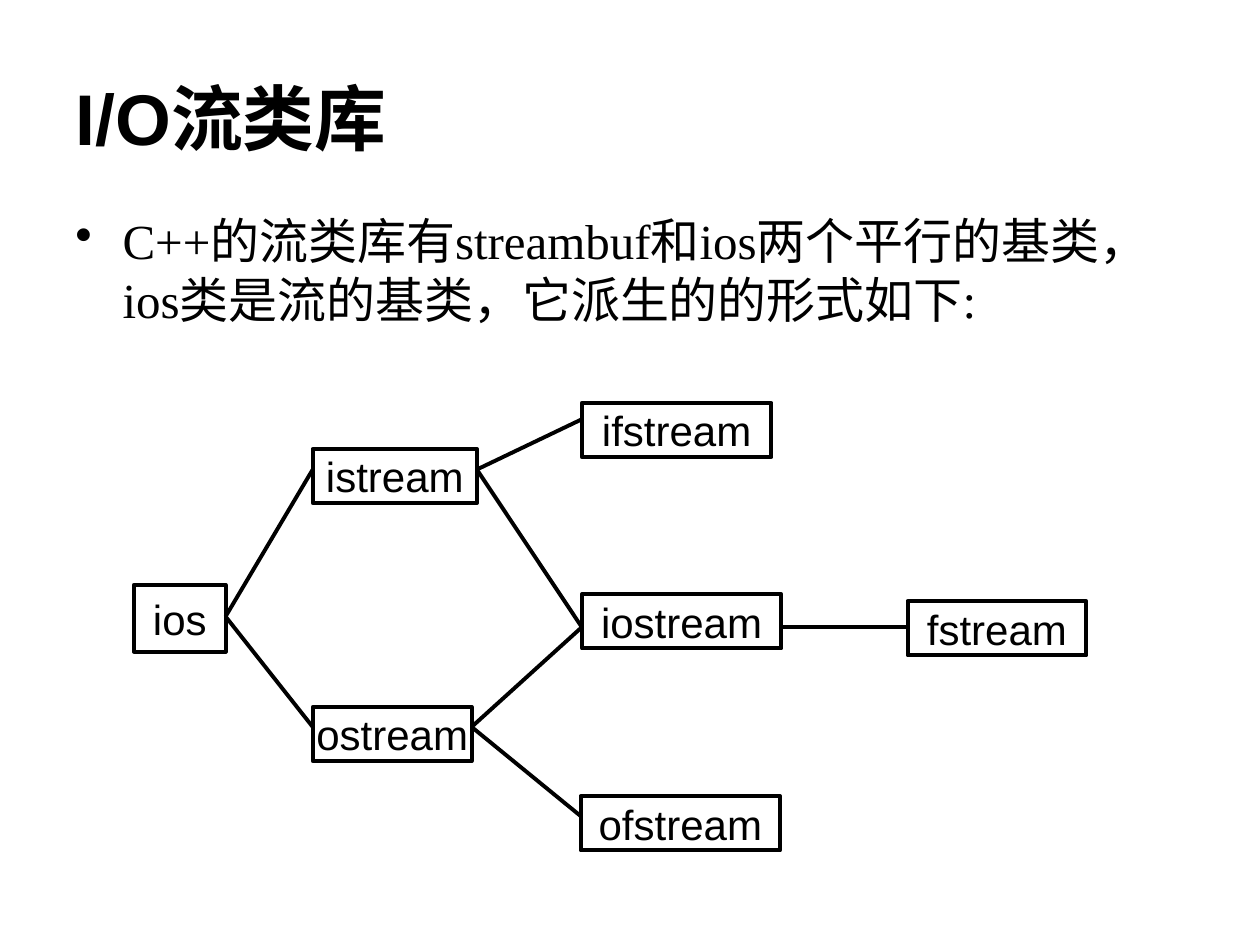
from dataclasses import dataclass

from lxml import etree
from pptx import Presentation
from pptx.dml.color import RGBColor
from pptx.enum.shapes import MSO_CONNECTOR, MSO_SHAPE
from pptx.enum.text import MSO_ANCHOR, PP_ALIGN
from pptx.oxml.ns import qn
from pptx.util import Pt

RECTANGLE = MSO_SHAPE.RECTANGLE
STRAIGHT = MSO_CONNECTOR.STRAIGHT
MIDDLE, TOP = MSO_ANCHOR.MIDDLE, MSO_ANCHOR.TOP
LEFT, CENTER = PP_ALIGN.LEFT, PP_ALIGN.CENTER
BLACK = RGBColor(0, 0, 0)


@dataclass
class ClassBox:
    left: float
    top: float
    width: float
    link_y: float
    height: float = 31


CLASSES = {
    "ios": ClassBox(76.5, 334.2, 52.4, 352.3, 38.2),
    "istream": ClassBox(178.7, 256.5, 93.8, 268.3),
    "ostream": ClassBox(178.7, 404, 90.8, 415.4),
    "ifstream": ClassBox(332.5, 230.3, 108.3, 239.6),
    "iostream": ClassBox(332.5, 339.6, 114, 358.4),
    "ofstream": ClassBox(331.8, 455, 114, 466.3),
    "fstream": ClassBox(518.6, 343.5, 102.2, 358.4),
}
DERIVATIONS = [
    ("ios", "istream"),
    ("ios", "ostream"),
    ("istream", "ifstream"),
    ("istream", "iostream"),
    ("ostream", "iostream"),
    ("ostream", "ofstream"),
    ("iostream", "fstream"),
]


def write_text(frame, text, font="Arial", size=24, bold=False, align=LEFT,
               anchor=MIDDLE, wrap=True):
    frame.word_wrap = wrap
    frame.vertical_anchor = anchor
    para = frame.paragraphs[0]
    para.alignment = align
    span = para.add_run()
    span.text = text
    span.font.name = font
    span.font.size = Pt(size)
    span.font.bold = bold
    span.font.color.rgb = BLACK
    return para


@dataclass
class Sheet:
    page: object
    color: RGBColor = BLACK
    line_width: float = 2.25

    def text(self, left, top, width, height, text, **style):
        box = self.page.shapes.add_textbox(Pt(left), Pt(top), Pt(width), Pt(height))
        return write_text(box.text_frame, text, **style)

    def bullet(self, left, top, width, height, text, indent=27, **style):
        para = self.text(left, top, width, height, text, **style)
        properties = para._p.get_or_add_pPr()
        properties.set("marL", str(Pt(indent)))
        properties.set("indent", str(-Pt(indent)))
        etree.SubElement(properties, qn("a:buChar")).set("char", "•")

    def class_box(self, name, place):
        box = self.page.shapes.add_shape(
            RECTANGLE, Pt(place.left), Pt(place.top), Pt(place.width), Pt(place.height))
        box.shadow.inherit = False
        box.fill.background()
        self.outline(box)
        frame = box.text_frame
        frame.margin_left = frame.margin_right = Pt(0)
        frame.margin_top = frame.margin_bottom = Pt(0)
        write_text(frame, name, align=CENTER, wrap=False)

    def link(self, parent, child):
        line = self.page.shapes.add_connector(
            STRAIGHT, Pt(parent.left + parent.width), Pt(parent.link_y),
            Pt(child.left), Pt(child.link_y))
        self.outline(line)
        etree.SubElement(line._element.spPr, qn("a:effectLst"))

    def outline(self, shape):
        shape.line.color.rgb = self.color
        shape.line.width = Pt(self.line_width)


def main():
    deck = Presentation()
    deck.slide_width, deck.slide_height = Pt(720), Pt(540)
    sheet = Sheet(deck.slides.add_slide(deck.slide_layouts[6]))
    sheet.bullet(36, 117, 648, 74,
                 "C++的流类库有streambuf和ios两个平行的基类，ios类是流的基类，它派生的的形式如下:",
                 font="Times New Roman", size=28, anchor=TOP)
    sheet.text(36, 21.6, 648, 90, "I/O流类库", size=41, bold=True)
    for name, place in CLASSES.items():
        sheet.class_box(name, place)
    for parent, child in DERIVATIONS:
        sheet.link(CLASSES[parent], CLASSES[child])
    deck.save("out.pptx")


if __name__ == "__main__":
    main()
